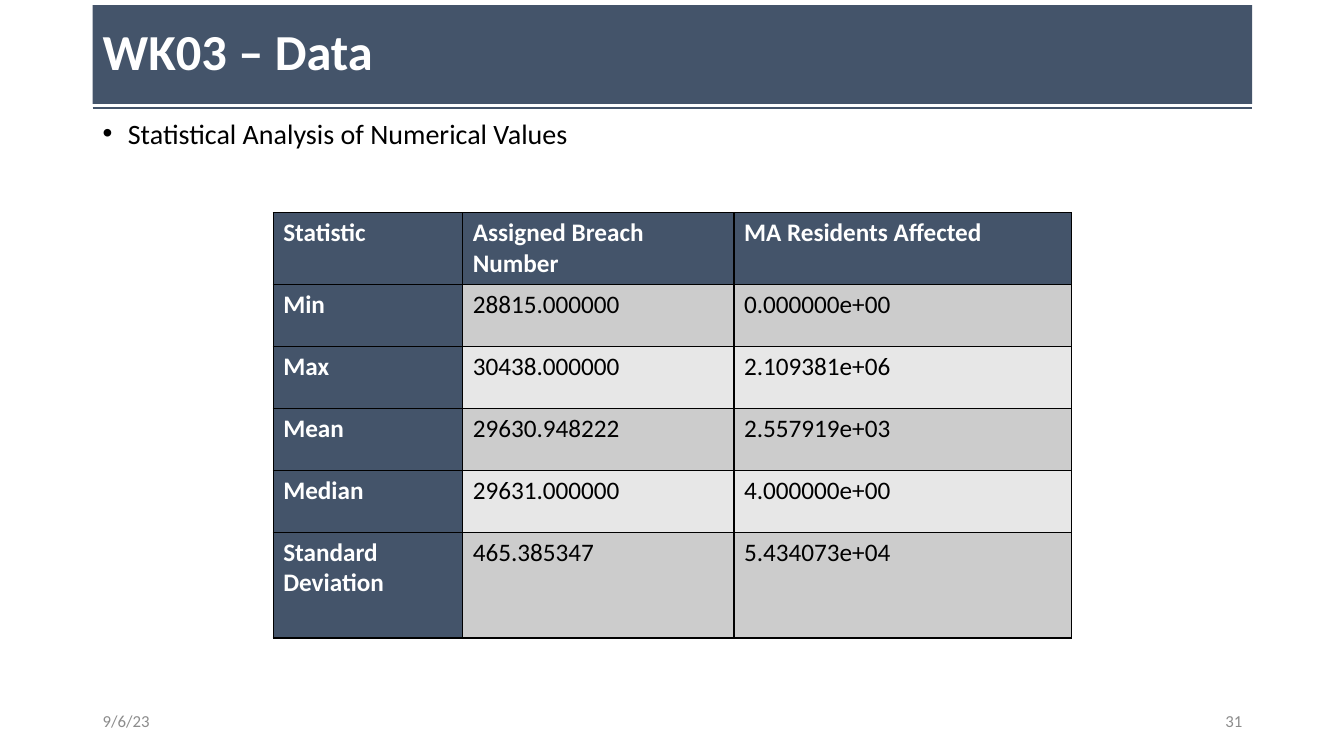
from lxml.etree import SubElement
from pptx import Presentation
from pptx.dml.color import RGBColor
from pptx.enum.shapes import MSO_CONNECTOR, MSO_SHAPE
from pptx.enum.text import MSO_ANCHOR, PP_ALIGN
from pptx.oxml import parse_xml
from pptx.oxml.ns import nsdecls, qn
from pptx.util import Inches, Pt

# Content
TITLE = "WK03 – Data"
BULLET = "Statistical Analysis of Numerical Values"
DATE = "9/6/23"
PAGE_NUMBER = "31"
STATISTICS = [
    ("Statistic", "Assigned Breach Number", "MA Residents Affected"),
    ("Min", "28815.000000", "0.000000e+00"),
    ("Max", "30438.000000", "2.109381e+06"),
    ("Mean", "29630.948222", "2.557919e+03"),
    ("Median", "29631.000000", "4.000000e+00"),
    ("Standard Deviation", "465.385347", "5.434073e+04"),
]

# Style and layout
FONT = "Calibri"
NAVY = RGBColor(0x44, 0x54, 0x6A)
WHITE = RGBColor(0xFF, 0xFF, 0xFF)
BLACK = RGBColor(0x00, 0x00, 0x00)
GRAY = RGBColor(0x8C, 0x8C, 0x8C)
DARK_BAND = RGBColor(0xCC, 0xCC, 0xCC)
LIGHT_BAND = RGBColor(0xE7, 0xE7, 0xE7)
LEFT, WIDTH = 0.92, 11.5
RIGHT = LEFT + WIDTH
FOOTER_TOP, FOOTER_WIDTH, FOOTER_HEIGHT = 6.95, 3, 0.4
TABLE_LEFT, TABLE_TOP = 2.71, 2.11
COLUMN_WIDTHS = [1.88, 2.69, 3.35]
ROW_HEIGHTS = [0.71] + [0.615] * 4 + [1.05]


def write(frame, text, size, color=BLACK, bold=False, align=PP_ALIGN.LEFT,
          anchor=MSO_ANCHOR.TOP, line_spacing=None):
    frame.word_wrap = True
    frame.vertical_anchor = anchor
    para = frame.paragraphs[0]
    para.alignment = align
    if line_spacing:
        para.line_spacing = line_spacing
    span = para.add_run()
    span.text = text
    span.font.name = FONT
    span.font.size = Pt(size)
    span.font.bold = bold
    span.font.color.rgb = color
    return para


def add_text(page, left, top, width, height, text, size, **style):
    box = page.shapes.add_textbox(
        Inches(left), Inches(top), Inches(width), Inches(height))
    return write(box.text_frame, text, size, **style)


def add_bullet(para):
    properties = para._p.get_or_add_pPr()
    properties.set("marL", str(Inches(0.25)))
    properties.set("indent", str(-Inches(0.25)))
    SubElement(properties, qn("a:buFont")).set("typeface", "Arial")
    SubElement(properties, qn("a:buChar")).set("char", "•")


def add_borders(cell):
    properties = cell._tc.get_or_add_tcPr()
    for index, side in enumerate(("lnL", "lnR", "lnT", "lnB")):
        properties.insert(index, parse_xml(
            f'<a:{side} {nsdecls("a")} w="{Pt(1)}"><a:solidFill>'
            f'<a:srgbClr val="{BLACK}"/></a:solidFill></a:{side}>'))


def add_header(page):
    rule = page.shapes.add_connector(
        MSO_CONNECTOR.STRAIGHT, Inches(LEFT), Inches(1.07), Inches(RIGHT), Inches(1.07))
    rule.line.color.rgb = NAVY
    rule.line.width = Pt(1.5)
    SubElement(rule._element.spPr, qn("a:effectLst"))

    banner = page.shapes.add_shape(
        MSO_SHAPE.RECTANGLE, Inches(LEFT), Inches(0.05), Inches(WIDTH), Inches(0.98))
    banner.shadow.inherit = False
    banner.fill.solid()
    banner.fill.fore_color.rgb = NAVY
    banner.line.fill.background()
    write(banner.text_frame, TITLE, 36, color=WHITE, bold=True,
          anchor=MSO_ANCHOR.MIDDLE, line_spacing=0.9)


def add_statistics(page):
    table = page.shapes.add_table(
        len(STATISTICS), len(COLUMN_WIDTHS), Inches(TABLE_LEFT), Inches(TABLE_TOP),
        Inches(sum(COLUMN_WIDTHS)), Inches(sum(ROW_HEIGHTS))).table
    for column, width in zip(table.columns, COLUMN_WIDTHS):
        column.width = Inches(width)
    for row, height in zip(table.rows, ROW_HEIGHTS):
        row.height = Inches(height)
    for row_index, values in enumerate(STATISTICS):
        band = DARK_BAND if row_index % 2 else LIGHT_BAND
        for column_index, value in enumerate(values):
            heading = row_index == 0 or column_index == 0
            cell = table.cell(row_index, column_index)
            cell.fill.solid()
            cell.fill.fore_color.rgb = NAVY if heading else band
            add_borders(cell)
            write(cell.text_frame, value, 18, bold=heading,
                  color=WHITE if heading else BLACK)


def main():
    deck = Presentation()
    deck.slide_width, deck.slide_height = Inches(13.33), Inches(7.5)
    page = deck.slides.add_slide(deck.slide_layouts[6])

    # Title and bullet
    add_header(page)
    para = add_text(page, LEFT, 1.14, WIDTH, 5.62, BULLET, 20, line_spacing=0.9)
    para.space_after = Pt(6)
    add_bullet(para)

    # Date and page number
    for left, text, align in [(LEFT, DATE, PP_ALIGN.LEFT),
                              (RIGHT - FOOTER_WIDTH, PAGE_NUMBER, PP_ALIGN.RIGHT)]:
        add_text(page, left, FOOTER_TOP, FOOTER_WIDTH, FOOTER_HEIGHT, text, 12,
                 color=GRAY, align=align, anchor=MSO_ANCHOR.MIDDLE)

    # Table
    add_statistics(page)
    deck.save("out.pptx")


if __name__ == "__main__":
    main()
